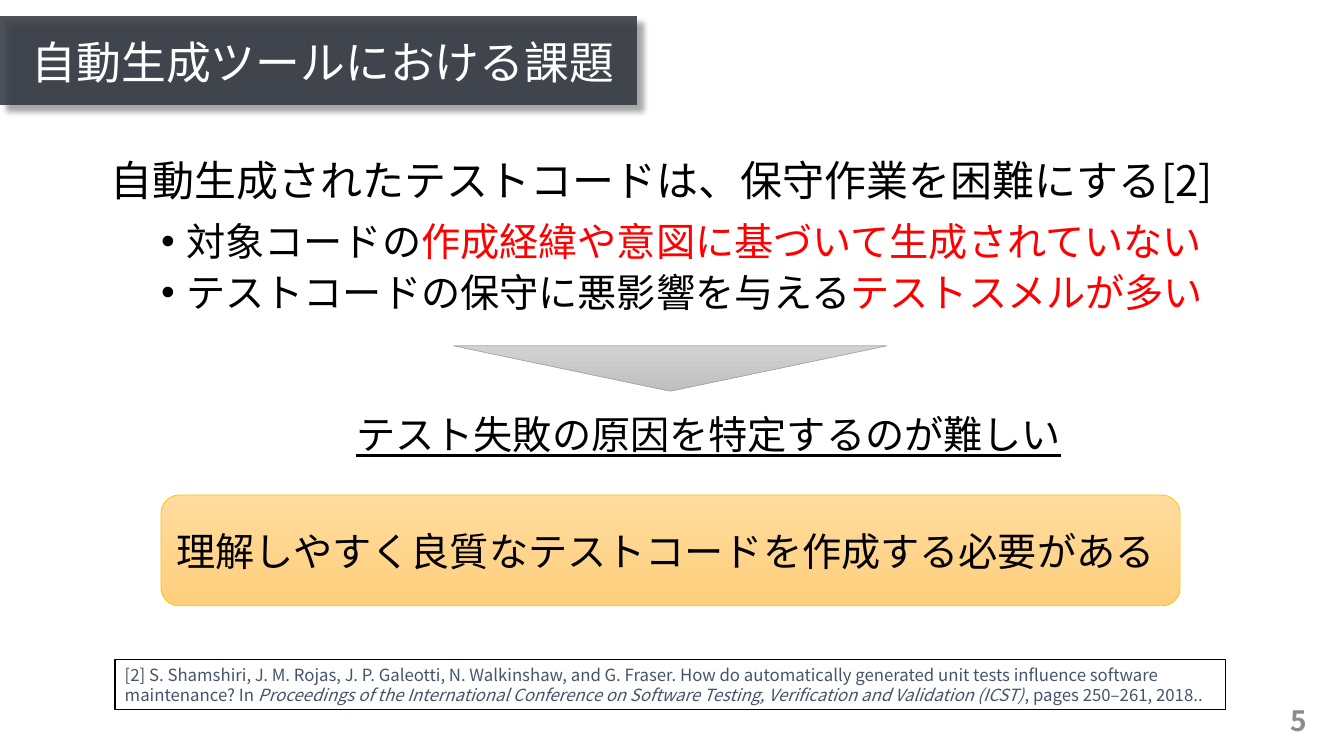
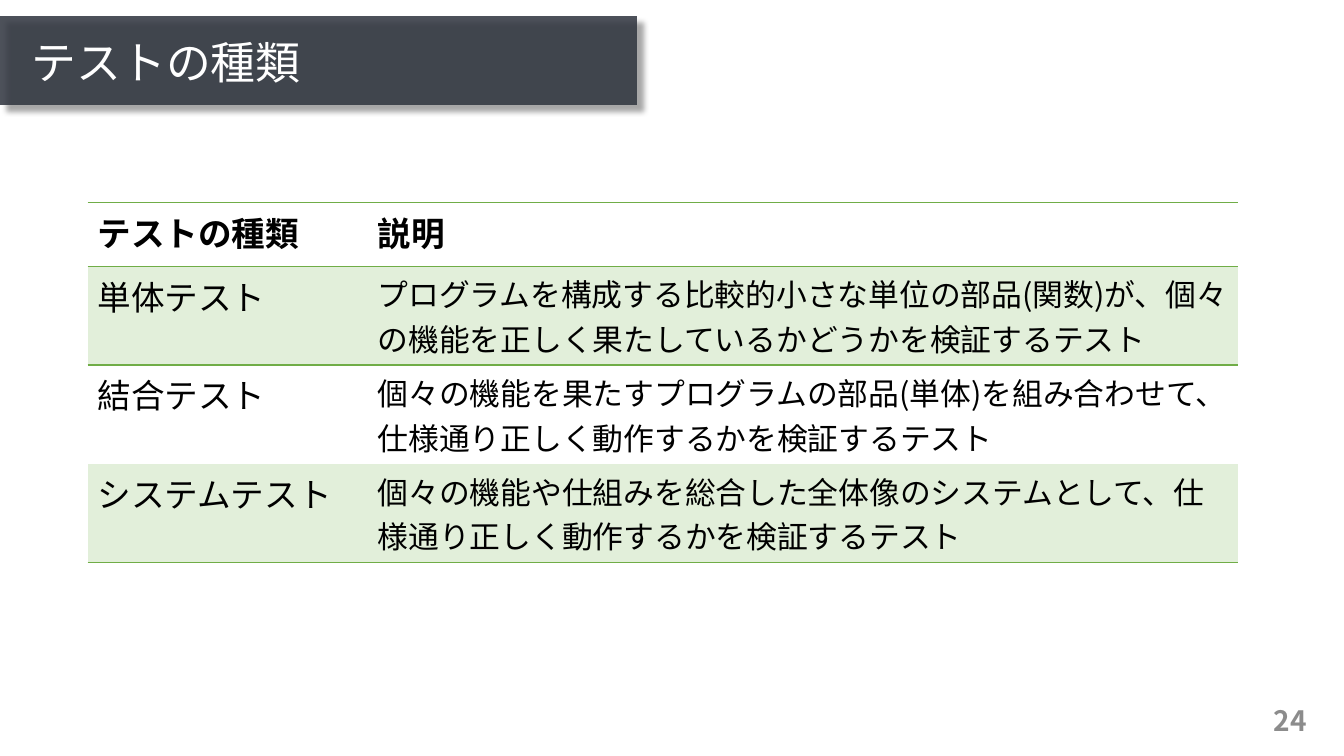
from dataclasses import dataclass

from lxml import etree
from pptx import Presentation
from pptx.dml.color import RGBColor
from pptx.enum import shapes, text
from pptx.oxml import parse_xml
from pptx.oxml.ns import nsdecls, qn
from pptx.util import Pt

SHAPE = shapes.MSO_SHAPE
MIDDLE = text.MSO_ANCHOR.MIDDLE


@dataclass(frozen=True)
class Theme:
    font: str = "Noto Sans CJK JP"
    ink: str = "000000"
    paper: str = "FFFFFF"
    band: str = "30353F"
    page: str = "8C8C8C"
    alert: str = "FF0000"
    source: str = "44546A"
    gray: tuple = ("D2D2D2", "C0C0C0", "A5A5A5")    # top, bottom, outline
    amber: tuple = ("FFDB9E", "FFD07C", "FFC000")
    rule: str = "70AD47"
    stripe: str = "E2EFDA"
    title_size: int = 32
    lead_size: int = 30
    point_size: int = 28
    head_size: int = 24
    cell_size: int = 22
    page_size: int = 20
    source_size: int = 12


T = Theme()
TIGHT = {"line_spacing": 0.9}


def rgb(value):
    return RGBColor.from_string(value)


def points(*box):
    return [Pt(v) for v in box]


def add_run(paragraph, words, size, color=T.ink, **formats):
    run = paragraph.add_run()
    run.text = words
    run.font.name = T.font
    run.font.size = Pt(size)
    run.font.color.rgb = rgb(color)
    for key, value in formats.items():
        setattr(run.font, key, value)
    etree.SubElement(run._r.get_or_add_rPr(), qn("a:ea"), typeface=T.font)


def fill_paragraph(paragraph, runs, **formats):
    """Each run is (words, size[, colour[, font formats]])."""
    settings = {"alignment": text.PP_ALIGN.LEFT, **formats}
    for key, value in settings.items():
        setattr(paragraph, key, value)
    for words, size, *rest in runs:
        color, extra = (rest + [T.ink, {}][len(rest):])
        add_run(paragraph, words, size, color, **extra)


def add_bullet(paragraph, margin, hanging):
    props = paragraph._p.get_or_add_pPr()
    props.set("marL", str(Pt(margin)))
    props.set("indent", str(-Pt(hanging)))
    etree.SubElement(props, qn("a:buFont"), typeface="Arial")
    etree.SubElement(props, qn("a:buChar"), char="•")


def add_text(slide, box, runs, anchor=MIDDLE, **formats):
    frame = slide.shapes.add_textbox(*points(*box)).text_frame
    frame.word_wrap = True
    frame.vertical_anchor = anchor
    fill_paragraph(frame.paragraphs[0], runs, **formats)
    return frame


def add_panel(slide, kind, box, fill, line=None, width=1):
    """A plain shape; a pair of fill colours gives a top-to-bottom gradient."""
    panel = slide.shapes.add_shape(kind, *points(*box))
    panel.shadow.inherit = False
    if isinstance(fill, str):
        panel.fill.solid()
        panel.fill.fore_color.rgb = rgb(fill)
    else:
        panel.fill.gradient()
        panel.fill.gradient_angle = 270
        for stop, color in zip(panel.fill.gradient_stops, fill):
            stop.color.rgb = rgb(color)
    if line:
        panel.line.color.rgb = rgb(line)
        panel.line.width = Pt(width)
    else:
        panel.line.fill.background()
    panel.text_frame.word_wrap = True
    panel.text_frame.vertical_anchor = MIDDLE
    return panel


def add_frame(deck, title, page):
    """A new slide with the title band and page number."""
    slide = deck.slides.add_slide(deck.slide_layouts[6])
    band = add_panel(slide, SHAPE.RECTANGLE, (0, 11.5, 455, 63.4), T.band)
    props = band._element.spPr
    color = props.find(qn("a:solidFill")).find(qn("a:srgbClr"))
    etree.SubElement(color, qn("a:alpha"), val="86000")
    props.find(qn("a:effectLst")).append(parse_xml(
        f'<a:outerShdw {nsdecls("a")} blurRad="{Pt(4)}" dist="{Pt(6)}" '
        'dir="2700000" algn="tl" rotWithShape="0"><a:srgbClr val="000000">'
        '<a:alpha val="40000"/></a:srgbClr></a:outerShdw>'))
    add_text(slide, (15.5, 17.3, 441, 57.6), [(title, T.title_size, T.paper)], **TIGHT)
    add_text(slide, (724.5, 500.4, 216, 28.8),
             [(str(page), T.page_size, T.page, {"bold": True})],
             alignment=text.PP_ALIGN.RIGHT)
    return slide


def add_claim(slide, box, lead, bullets):
    frame = add_text(slide, box, [(lead, T.lead_size)], text.MSO_ANCHOR.TOP, **TIGHT)
    for (plain, stressed), gap in zip(bullets, (12, 6)):
        paragraph = frame.add_paragraph()
        add_bullet(paragraph, 54, 18)
        fill_paragraph(paragraph, [(plain, T.point_size),
                                   (stressed, T.point_size, T.alert)],
                       space_before=Pt(gap), **TIGHT)


def add_conclusion(slide, box, finding, need):
    """Down-pointing wedge, underlined finding and highlighted need."""
    left, top, width, _ = box
    *gray, gray_line = T.gray
    *amber, amber_line = T.amber
    add_panel(slide, SHAPE.FLOWCHART_MERGE, (left + 209, top, 309.6, 32.4),
              gray, gray_line, 0.5)
    add_text(slide, (left + 132.5, top + 39, 530, 48),
             [(finding, T.point_size, T.ink, {"underline": True})])
    callout = add_panel(slide, SHAPE.FLOWCHART_ALTERNATE_PROCESS,
                        (left, top + 106.6, width, 79.2), amber, amber_line, 0.5)
    fill_paragraph(callout.text_frame.paragraphs[0], [(need, T.point_size)])


def add_reference(slide, box, before, journal, after):
    panel = add_panel(slide, SHAPE.RECTANGLE, box, T.paper, T.ink)
    fill_paragraph(panel.text_frame.paragraphs[0], [
        (before, T.source_size, T.source),
        (journal, T.source_size, T.source, {"italic": True}),
        (after, T.source_size, T.source)], line_spacing=Pt(14.4))


def add_rule(cell, side):
    """Put a horizontal rule on side T or B of a cell."""
    cell._tc.get_or_add_tcPr().insert(0, parse_xml(
        f'<a:ln{side} {nsdecls("a")} w="{Pt(1)}"><a:solidFill>'
        f'<a:srgbClr val="{T.rule}"/></a:solidFill></a:ln{side}>'))


def add_kinds_table(slide, box, columns, heights, rows):
    table = slide.shapes.add_table(len(rows), len(columns), *points(*box)).table
    props = table._tbl.tblPr
    props.find(qn("a:tableStyleId")).text = "{2D5ABB26-0587-4C30-8999-92F81FD0307C}"
    table.first_row = table.horz_banding = False
    for column, width in zip(table.columns, columns):
        column.width = Pt(width)
    for r, (row, height) in enumerate(zip(rows, heights)):
        table.rows[r].height = Pt(height)
        for c, words in enumerate(row):
            cell = table.cell(r, c)
            size = T.cell_size if r and c else T.head_size
            fill_paragraph(cell.text_frame.paragraphs[0],
                           [(words, size, T.ink, {"bold": r == 0})])
            if r % 2:
                cell.fill.solid()
                cell.fill.fore_color.rgb = rgb(T.stripe)
            else:
                cell.fill.background()
            if r in (0, len(rows) - 1):
                add_rule(cell, "B")
            if r == 0:
                add_rule(cell, "T")
            elif r == 1:
                add_rule(cell, "T")


def build_issue_slide(deck):
    slide = add_frame(deck, "自動生成ツールにおける課題", 5)
    add_claim(slide, (72, 111, 834.5, 140),
              "自動生成されたテストコードは、保守作業を困難にする[2]",
              [("対象コードの", "作成経緯や意図に基づいて生成されていない"),
               ("テストコードの保守に悪影響を与える", "テストスメルが多い")])
    add_conclusion(slide, (115, 247, 728, 186),
                   "テスト失敗の原因を特定するのが難しい",
                   "理解しやすく良質なテストコードを作成する必要がある")
    add_reference(
        slide, (82, 471, 793.5, 36),
        "[2] S. Shamshiri, J. M. Rojas, J. P. Galeotti, N. Walkinshaw, and G. Fraser. "
        "How do automatically generated unit tests inﬂuence software maintenance? In ",
        "Proceedings of the International Conference on Software Testing, "
        "Veriﬁcation and Validation (ICST)",
        ", pages 250–261, 2018..")


def build_kinds_slide(deck):
    slide = add_frame(deck, "テストの種類", 24)
    add_kinds_table(slide, (62.5, 144.7, 822, 257.2), (200, 622),
                    (45.4, 70.6, 70.6, 70.6), [
        ("テストの種類", "説明"),
        ("単体テスト", "プログラムを構成する比較的小さな単位の部品(関数)が、"
                  "個々の機能を正しく果たしているかどうかを検証するテスト"),
        ("結合テスト", "個々の機能を果たすプログラムの部品(単体)を組み合わせて、"
                  "仕様通り正しく動作するかを検証するテスト"),
        ("システムテスト", "個々の機能や仕組みを総合した全体像のシステムとして、"
                    "仕様通り正しく動作するかを検証するテスト")])


def main():
    deck = Presentation()
    deck.slide_width, deck.slide_height = points(960, 540)
    build_issue_slide(deck)
    build_kinds_slide(deck)
    deck.save("out.pptx")


if __name__ == "__main__":
    main()
